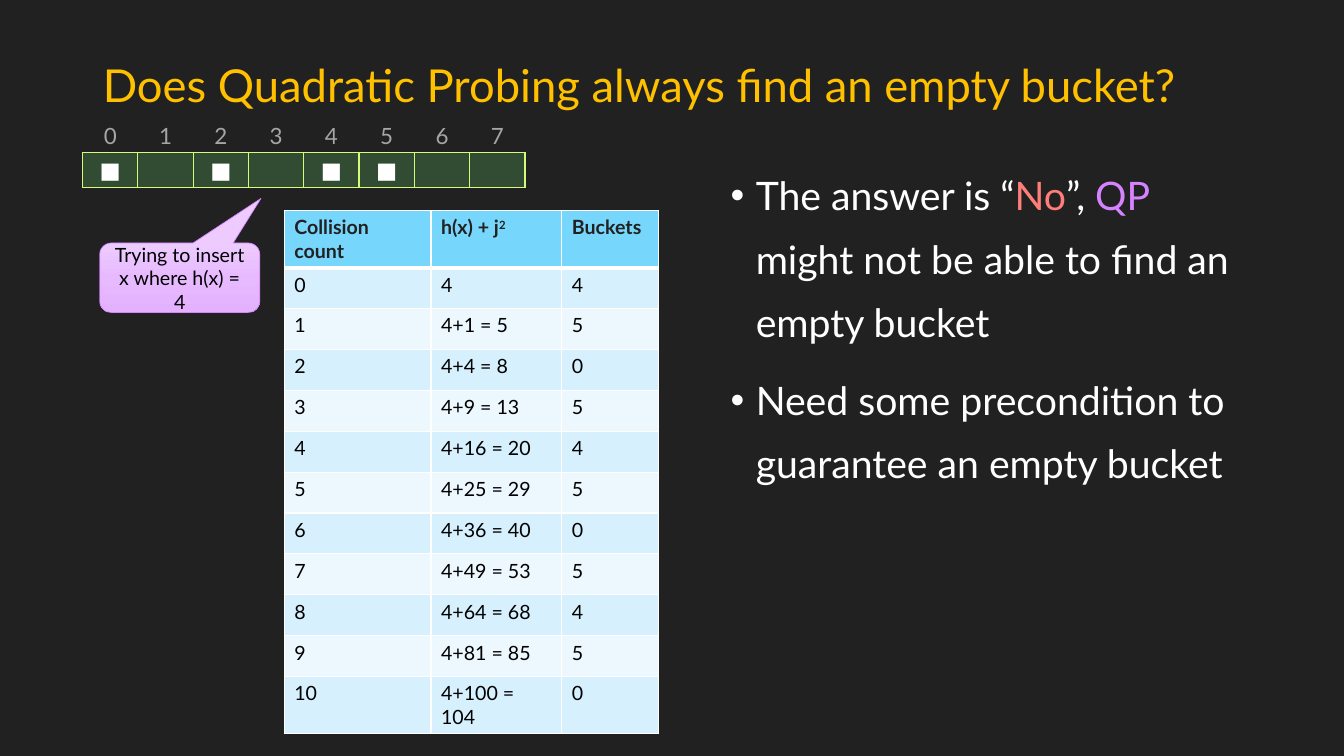
from dataclasses import dataclass

from lxml import etree
from pptx import Presentation
from pptx import util as u
from pptx.dml.color import RGBColor
from pptx.enum import shapes, text
from pptx.oxml import ns


@dataclass(frozen=True)
class Theme:
    """Font, type sizes and colours of the slide."""
    font: str = "Lato"
    title: float = 32.4
    body: float = 28
    bucket: float = 16
    small: float = 14
    background: str = "212121"
    gold: str = "FFC000"
    white: str = "FFFFFF"
    black: str = "000000"
    grey: str = "A6A6A6"
    red: str = "FF7E79"
    purple: str = "D783FF"
    green: str = "73FA79"
    lime: str = "D4FB79"
    header: str = "76D6FB"
    bands: tuple = ("D6F0FD", "ECF7FE")
    bubble: tuple = ("EDCBFF", "E7BAFF", "E4B1FF")


class SlideBuilder:
    """Draws elements on the current slide, measured on a 48 by 27 grid."""

    columns, rows = 48, 27
    plain_table = "{2D5ABB26-0587-4C30-8999-92F81FD0307C}"

    def __init__(self, deck, theme):
        self.deck, self.theme = deck, theme
        self.page = deck.slides.add_slide(deck.slide_layouts[5])
        fill = self.page.background.fill
        fill.solid()
        fill.fore_color.rgb = RGBColor.from_string(theme.background)

    def place(self, left, top, width, height):
        x, y = self.deck.slide_width / self.columns, self.deck.slide_height / self.rows
        return [u.Emu(round(n)) for n in (left * x, top * y, width * x, height * y)]

    def child(self, parent, tag, **attributes):
        return etree.SubElement(parent, ns.qn(tag), attributes)

    def add_span(self, para, words, size, colour, bold=False, raised=False):
        span = para.add_run()
        span.text = words
        span.font.name, span.font.size, span.font.bold = self.theme.font, u.Pt(size), bold
        span.font.color.rgb = RGBColor.from_string(colour)
        if raised:
            span.font._element.set("baseline", "30000")

    def title(self, words, *area):
        box = self.page.shapes.title
        box.left, box.top, box.width, box.height = self.place(*area)
        frame = box.text_frame
        frame.auto_size = text.MSO_AUTO_SIZE.NONE
        frame.vertical_anchor = text.MSO_ANCHOR.MIDDLE
        para = frame.paragraphs[0]
        para.alignment, para.line_spacing = text.PP_ALIGN.LEFT, 0.9
        self.add_span(para, words, self.theme.title, self.theme.gold)

    def bullets(self, items, *area):
        frame = self.page.shapes.add_textbox(*self.place(*area)).text_frame
        frame.word_wrap = True
        for number, spans in enumerate(items):
            para = frame.add_paragraph() if number else frame.paragraphs[0]
            props = para._p.get_or_add_pPr()
            props.set("marL", str(u.Inches(0.25)))
            props.set("indent", str(-u.Inches(0.25)))
            self.child(props, "a:buFont", typeface="Arial")
            self.child(props, "a:buChar", char="•")
            para.line_spacing = 1.35
            para.space_before = u.Pt(10 if number else 0)
            for words, colour in spans:
                self.add_span(para, words, self.theme.body, colour)

    def callout(self, words, *area):
        box = self.page.shapes.add_shape(
            shapes.MSO_SHAPE.ROUNDED_RECTANGULAR_CALLOUT, *self.place(*area))
        box.shadow.inherit = False
        for index, value in enumerate((0.507, -1.142, 0.167)):
            box.adjustments[index] = value
        box.fill.gradient()
        box.fill.gradient_angle = 270
        stops = box._element.spPr.find(".//" + ns.qn("a:gsLst"))
        for stop in list(stops):
            stops.remove(stop)
        for index, colour in enumerate(self.theme.bubble):
            stop = self.child(stops, "a:gs", pos=str(index * 50000))
            self.child(stop, "a:srgbClr", val=colour)
        box.line.color.rgb = RGBColor.from_string(self.theme.purple)
        box.line.width = u.Pt(0.5)
        frame = box.text_frame
        frame.word_wrap = True
        frame.vertical_anchor = text.MSO_ANCHOR.MIDDLE
        para = frame.paragraphs[0]
        para.alignment = text.PP_ALIGN.CENTER
        self.add_span(para, words, self.theme.small, self.theme.black)

    def table(self, left, top, widths, height, count):
        area = self.place(left, top, sum(widths), height * count)
        holder = self.page.shapes.add_table(count, len(widths), *area)
        grid = holder.table
        grid.first_row = grid.horz_banding = False
        grid._tbl.tblPr.find(ns.qn("a:tableStyleId")).text = self.plain_table
        for column, width in zip(grid.columns, widths):
            column.width = self.place(0, 0, width, 0)[2]
        for row in grid.rows:
            row.height = self.place(0, 0, 0, height)[3]
        return grid

    def cell_style(self, cell, fill, border, sides="LRTB", alpha=None, bottom=1):
        props = cell._tc.get_or_add_tcPr()
        for side in sides:
            width = bottom if side == "B" else 1
            line = self.child(props, "a:ln" + side, w=str(u.Pt(width)))
            self.child(self.child(line, "a:solidFill"), "a:srgbClr", val=border)
        if fill is None:
            cell.fill.background()
            return
        cell.fill.solid()
        cell.fill.fore_color.rgb = RGBColor.from_string(fill)
        if alpha:
            colour = props.find(ns.qn("a:solidFill")).find(ns.qn("a:srgbClr"))
            self.child(colour, "a:alpha", val=str(alpha * 1000))

    def buckets(self, size, filled, left, top, width, height):
        theme = self.theme
        grid = self.table(left, top, [width / size] * size, height / 2, 2)
        for index in range(size):
            label, bucket = grid.cell(0, index), grid.cell(1, index)
            for cell in (label, bucket):
                cell.margin_left = cell.margin_right = u.Inches(0.04)
                cell.margin_top = cell.margin_bottom = u.Inches(0.04)
                cell.text_frame.paragraphs[0].alignment = text.PP_ALIGN.CENTER
            label.vertical_anchor = text.MSO_ANCHOR.BOTTOM
            self.cell_style(label, None, theme.lime, sides="B")
            self.cell_style(bucket, theme.green, theme.lime, alpha=20)
            self.add_span(label.text_frame.paragraphs[0], str(index), theme.bucket, theme.grey)
            para = bucket.text_frame.paragraphs[0]
            if index in filled:
                self.add_span(para, "■", theme.bucket, theme.white, bold=True)
            else:
                self.child(para._p, "a:endParaRPr", sz=str(theme.bucket * 100))

    def probes(self, headings, records, left, top, widths, height):
        theme = self.theme
        grid = self.table(left, top, widths, height, len(records) + 1)
        for column, (words, power) in enumerate(headings):
            cell = grid.cell(0, column)
            self.cell_style(cell, theme.header, theme.white, bottom=3)
            para = cell.text_frame.paragraphs[0]
            self.add_span(para, words, theme.small, theme.background, bold=True)
            if power:
                self.add_span(para, power, theme.small, theme.background, bold=True, raised=True)
        for row, record in enumerate(records, 1):
            for column, value in enumerate(record):
                cell = grid.cell(row, column)
                sides = "LRB" if row == 1 else "LRTB"
                self.cell_style(cell, theme.bands[(row - 1) % 2], theme.white, sides)
                self.add_span(cell.text_frame.paragraphs[0], str(value), theme.small, theme.black)


def main():
    """Build the quadratic probing slide."""
    deck = Presentation()
    deck.slide_width, deck.slide_height = u.Inches(13.33), u.Inches(7.5)
    theme = Theme()
    slide = SlideBuilder(deck, theme)
    slide.title("Does Quadratic Probing always find an empty bucket?", 3.31, 1.44, 41.4, 3.42)
    slide.bullets([
        [("The answer is “", theme.white), ("No", theme.red), ("”, ", theme.white),
         ("QP", theme.purple), (" might not be able to find an empty bucket", theme.white)],
        [("Need some precondition to guarantee an empty bucket", theme.white)],
    ], 25.74, 5.36, 18.94, 19.76)
    size, start = 8, 4
    slide.buckets(size, {0, 2, 4, 5}, 2.95, 4.21, 15.8, 2.48)
    slide.callout(f"Trying to insert x where h(x) = {start}", 3.56, 8.68, 5.72, 2.48)
    records = [(0, start, start)]
    for count in range(1, 11):
        total = start + count ** 2
        records.append((count, f"{start}+{count ** 2} = {total}", total % size))
    headings = [("Collision count", ""), ("h(x) + j", "2"), ("Buckets", "")]
    slide.probes(headings, records, 10.15, 7.52, [5.24, 4.67, 3.45], 1.46)
    deck.save("out.pptx")


if __name__ == "__main__":
    main()
